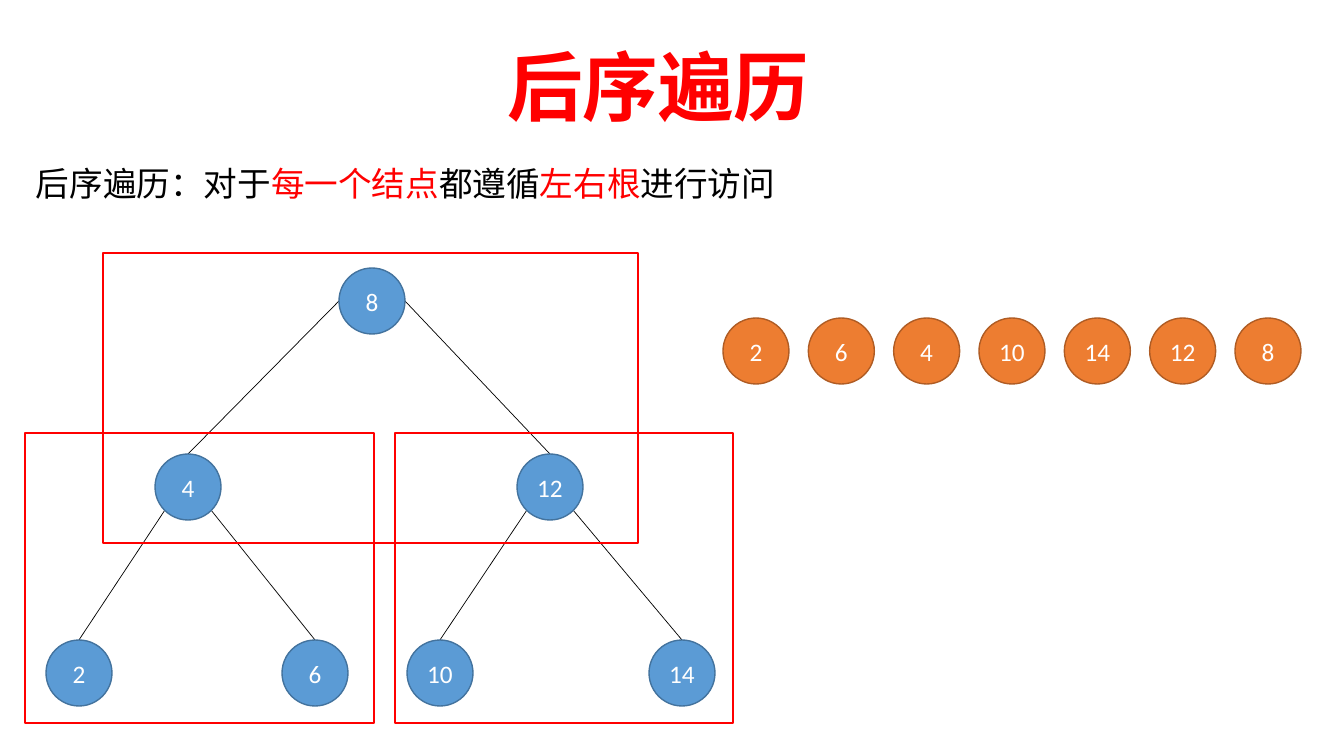
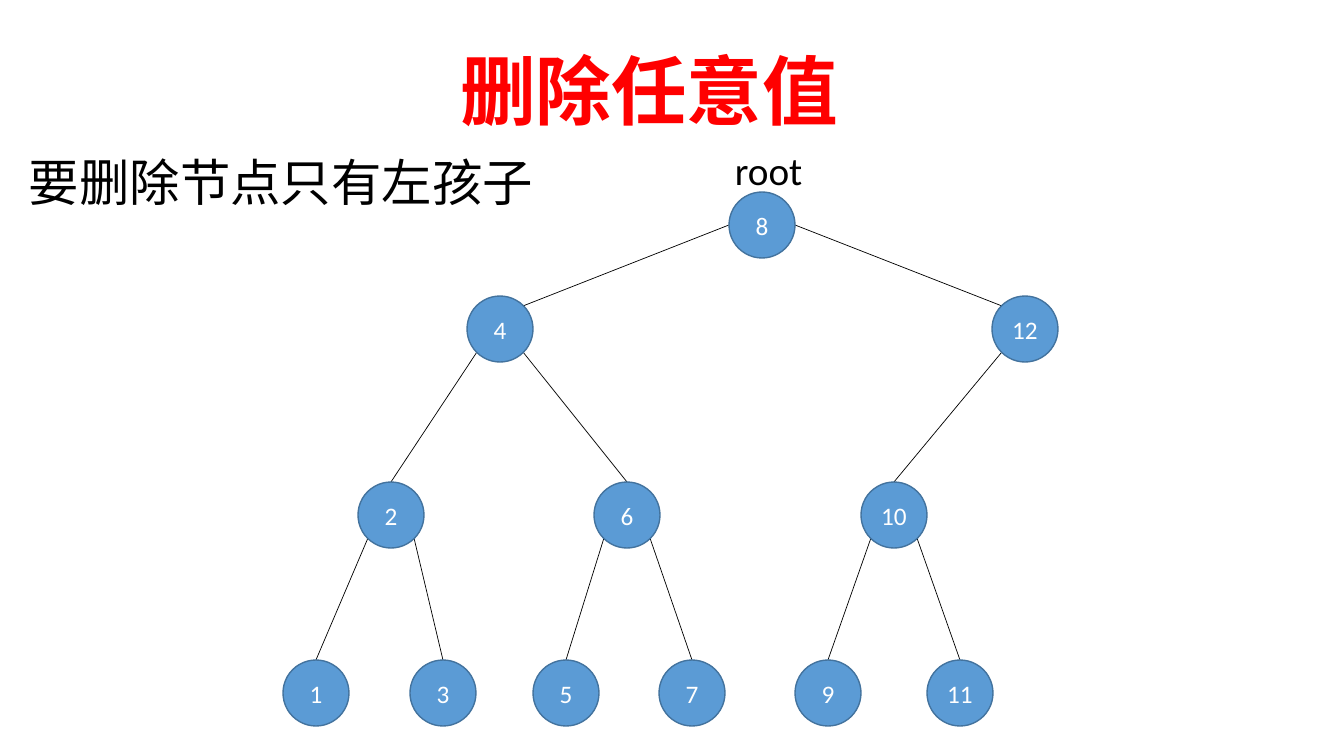
import pptx
import pptx.dml.color
import pptx.enum.shapes
import pptx.enum.text
import pptx.oxml.ns
import pptx.util
from lxml import etree

RGBColor = pptx.dml.color.RGBColor
RED = RGBColor(0xFF, 0x00, 0x00)
BLACK = RGBColor(0x00, 0x00, 0x00)
WHITE = RGBColor(0xFF, 0xFF, 0xFF)
BLUE = RGBColor(0x5B, 0x9B, 0xD5)
DARK_BLUE = RGBColor(0x43, 0x73, 0x9E)
ORANGE = RGBColor(0xED, 0x7D, 0x31)
DARK_ORANGE = RGBColor(0xAF, 0x5C, 0x24)

FONT = "Calibri"
EMU_PER_PX = 914400 / 100.8
SLIDE_WIDTH, SLIDE_HEIGHT = 1344, 756
NODE_SIZE = 66
RADIUS = NODE_SIZE // 2
DIAGONAL = 23  # horizontal and vertical reach of a radius at 45 degrees
TITLE_ONLY_LAYOUT = 5

# Each tree maps a value to its centre (x, y) in the tree's box and its parent.
TRAVERSAL_TREE = {
    8: (326, 33, None),
    4: (142, 219, 8), 12: (504, 219, 8),
    2: (33, 405, 4), 6: (269, 405, 4), 10: (394, 405, 12), 14: (636, 405, 12),
}
DELETION_TREE = {
    8: (479, 33, None),
    4: (217, 137, 8), 12: (742, 137, 8),
    2: (108, 323, 4), 6: (344, 323, 4), 10: (611, 323, 12),
    1: (33, 501, 2), 3: (160, 501, 2), 5: (283, 501, 6), 7: (409, 501, 6),
    9: (545, 501, 10), 11: (677, 501, 10),
}
POST_ORDER = [2, 6, 4, 10, 14, 12, 8]


def px(length):
    return pptx.util.Emu(round(length * EMU_PER_PX))


def format_run(run, size, color, bold=False):
    run.font.name = FONT
    run.font.size = pptx.util.Pt(size)
    run.font.bold = bold
    run.font.color.rgb = color


def add_titled_slide(presentation, title, left, top, width, height):
    slide = presentation.slides.add_slide(presentation.slide_layouts[TITLE_ONLY_LAYOUT])
    shape = slide.shapes.title
    shape.left, shape.top, shape.width, shape.height = map(px, (left, top, width, height))
    text_frame = shape.text_frame
    text_frame.text = title
    text_frame.auto_size = pptx.enum.text.MSO_AUTO_SIZE.NONE
    text_frame.vertical_anchor = pptx.enum.text.MSO_ANCHOR.TOP
    paragraph = text_frame.paragraphs[0]
    paragraph.alignment = pptx.enum.text.PP_ALIGN.LEFT
    format_run(paragraph.runs[0], 54, RED, bold=True)
    return slide


def add_text(slide, left, top, width, height, size, parts):
    """Add one line of text made of (text, color) parts."""
    text_box = slide.shapes.add_textbox(*map(px, (left, top, width, height)))
    text_box.text_frame.word_wrap = True
    paragraph = text_box.text_frame.paragraphs[0]
    for text, color in parts:
        run = paragraph.add_run()
        run.text = text
        format_run(run, size, color)


def add_node(slide, left, top, value, fill, outline):
    node = slide.shapes.add_shape(
        pptx.enum.shapes.MSO_SHAPE.OVAL, px(left), px(top), px(NODE_SIZE), px(NODE_SIZE))
    node.shadow.inherit = False
    node.fill.solid()
    node.fill.fore_color.rgb = fill
    node.line.color.rgb = outline
    node.line.width = pptx.util.Pt(1)
    text_frame = node.text_frame
    text_frame.text = str(value)
    text_frame.margin_left = text_frame.margin_right = 0
    text_frame.vertical_anchor = pptx.enum.text.MSO_ANCHOR.MIDDLE
    paragraph = text_frame.paragraphs[0]
    paragraph.alignment = pptx.enum.text.PP_ALIGN.CENTER
    format_run(paragraph.runs[0], 18, WHITE)


def add_edge(slide, start_x, start_y, end_x, end_y):
    edge = slide.shapes.add_connector(
        pptx.enum.shapes.MSO_CONNECTOR.STRAIGHT, *map(px, (start_x, start_y, end_x, end_y)))
    edge.line.color.rgb = BLACK
    edge.line.width = pptx.util.Pt(0.5)
    properties = edge._element.find(pptx.oxml.ns.qn("p:spPr"))
    etree.SubElement(properties, pptx.oxml.ns.qn("a:effectLst"))


def edge_offsets(parent_is_root, side, run, drop):
    """Return where an edge leaves its parent and meets its child, from their centres."""
    start = (side * RADIUS, 0) if parent_is_root else (side * DIAGONAL, DIAGONAL)
    is_shallow = abs(run) > drop
    end = (-side * DIAGONAL, -DIAGONAL) if is_shallow else (0, -RADIUS)
    return start, end


def add_tree(slide, left, top, tree):
    for value, (x, y, parent) in tree.items():
        if parent is None:
            continue
        parent_x, parent_y, grandparent = tree[parent]
        side = -1 if value < parent else 1
        start, end = edge_offsets(grandparent is None, side, x - parent_x, y - parent_y)
        add_edge(slide, left + parent_x + start[0], top + parent_y + start[1],
                 left + x + end[0], top + y + end[1])
    for value, (x, y, _) in tree.items():
        add_node(slide, left + x - RADIUS, top + y - RADIUS, value, BLUE, DARK_BLUE)


def add_sequence(slide, left, top, width, values):
    pitch = (width - NODE_SIZE) / (len(values) - 1)
    for index, value in enumerate(values):
        add_node(slide, left + index * pitch, top, value, ORANGE, DARK_ORANGE)


def add_subtree_frame(slide, left, top, width, height):
    frame = slide.shapes.add_shape(
        pptx.enum.shapes.MSO_SHAPE.RECTANGLE, *map(px, (left, top, width, height)))
    frame.shadow.inherit = False
    frame.fill.background()
    frame.line.color.rgb = RED
    frame.line.width = pptx.util.Pt(1.5)


def build_traversal_slide(presentation):
    slide = add_titled_slide(presentation, "后序遍历", 497, 35, 668, 102)
    add_tree(slide, 46, 268, TRAVERSAL_TREE)
    add_sequence(slide, 723, 318, 578, POST_ORDER)
    add_text(slide, 26, 158, 1140, 50, 24, [
        ("后序遍历：对于", BLACK), ("每一个结点", RED), ("都遵循", BLACK),
        ("左右根", RED), ("进行访问", BLACK)])
    for left, top, width in [(103, 253, 535), (25, 433, 349), (395, 433, 338)]:
        add_subtree_frame(slide, left, top, width, 290)


def build_deletion_slide(presentation):
    slide = add_titled_slide(presentation, "删除任意值", 450, 39, 741, 102)
    add_tree(slide, 283, 192, DELETION_TREE)
    add_text(slide, 725, 141, 92, 57, 28, [("root", BLACK)])
    add_text(slide, 19, 146, 540, 70, 36, [("要删除节点只有左孩子", BLACK)])


def main():
    presentation = pptx.Presentation()
    presentation.slide_width = px(SLIDE_WIDTH)
    presentation.slide_height = px(SLIDE_HEIGHT)
    build_traversal_slide(presentation)
    build_deletion_slide(presentation)
    presentation.save("out.pptx")


if __name__ == "__main__":
    main()
